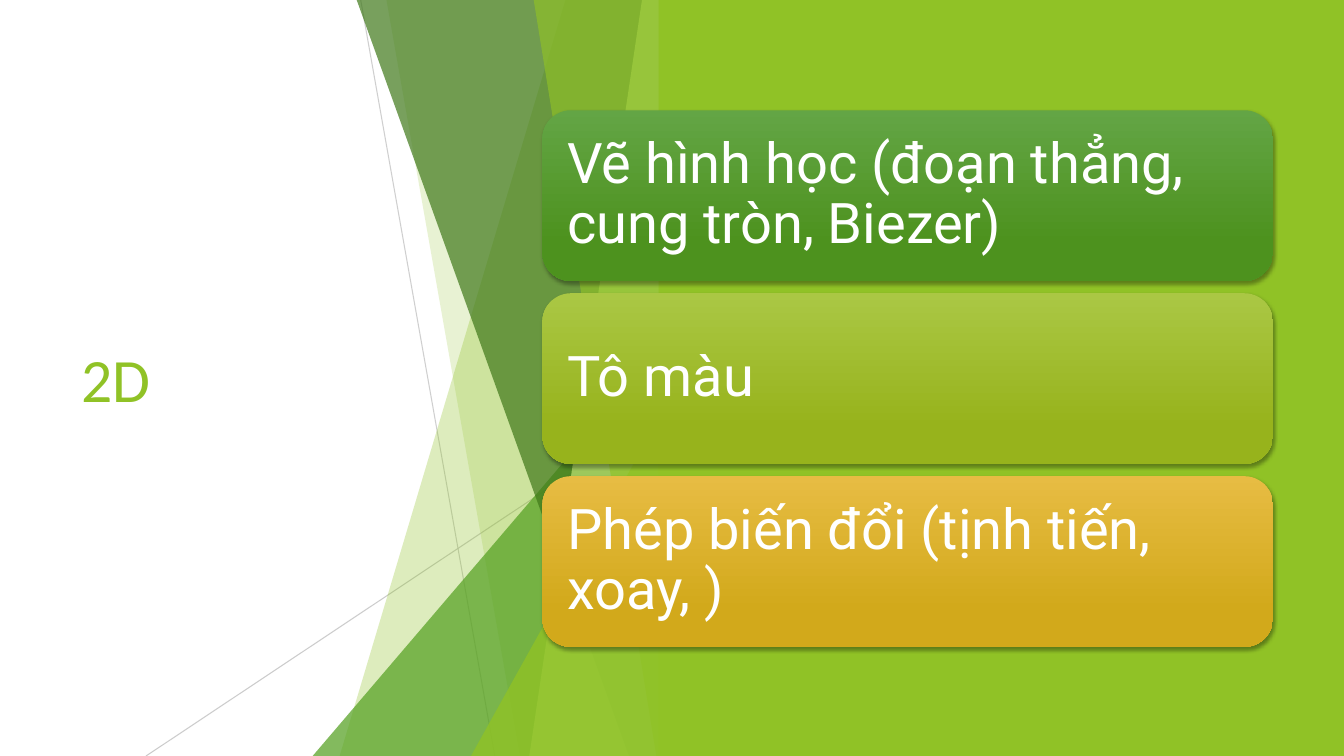
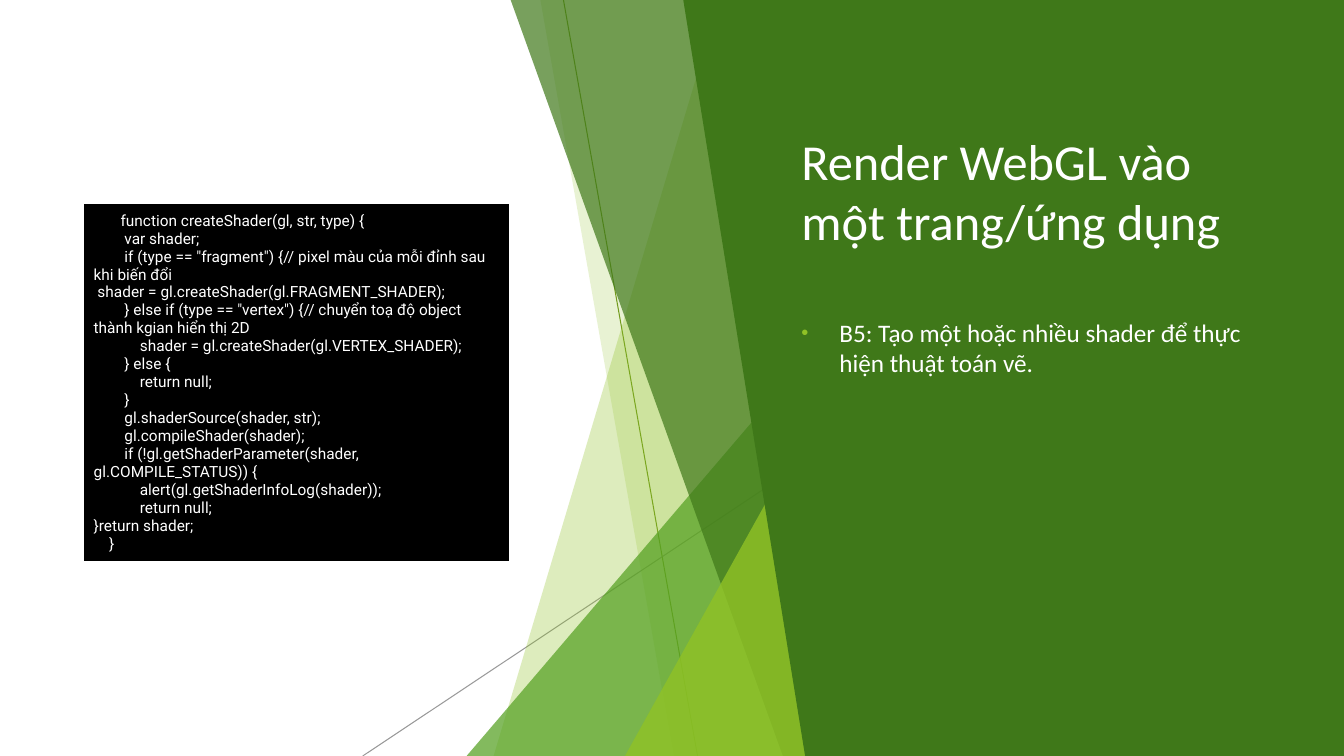
from lxml import etree
from pptx import Presentation
from pptx import util as u
from pptx.dml import color
from pptx.enum import shapes, text
from pptx.oxml import ns, parse_xml

W, H = 33.87, 19.05
LIME, GREEN, DARK, PALE, WHITE, BLACK = "90C226", "54A021", "3F7819", "C0E474", "FFFFFF", "000000"
BODY, CODE = "Calibri", "Roboto"

# kind, top value, bottom value, colour, opacity
BAND, TRIANGLE = "band", "triangle"
FACETS = [
    (BAND, -2.67, -8.36, LIME, 30),
    (BAND, -7.18, -3.82, LIME, 20),
    (TRIANGLE, 9.04, 8.47, GREEN, 72),
    (BAND, -7.93, -1.07, DARK, 70),
]
INNER_FACETS = [(BAND, -0.74, -3.58, PALE, 70), (BAND, -3.47, -0.38, LIME, 65)]
FRONT_FACET = [(TRIANGLE, 5.05, 9.07, LIME, 80)]

TOPICS = [
    ("Vẽ hình học (đoạn thẳng, cung tròn, Biezer)", "63A545", "4D921E"),
    ("Tô màu", "AAC744", "97B31C"),
    ("Phép biến đổi (tịnh tiến, xoay, )", "E7BC43", "D2A91B"),
]
SHADER_CODE = [
    (7, "function createShader(gl, str, type) {"),
    (8, "var shader;"),
    (8, 'if (type == "fragment") {// pixel màu của mỗi đỉnh sau khi biến đổi'),
    (1, "shader = gl.createShader(gl.FRAGMENT_SHADER);"),
    (8, '} else if (type == "vertex") {// chuyển toạ độ object thành kgian hiển thị 2D'),
    (12, "shader = gl.createShader(gl.VERTEX_SHADER);"),
    (8, "} else {"),
    (12, "return null;"),
    (8, "}"),
    (8, "gl.shaderSource(shader, str);"),
    (8, "gl.compileShader(shader);"),
    (8, "if (!gl.getShaderParameter(shader, gl.COMPILE_STATUS)) {"),
    (12, "alert(gl.getShaderInfoLog(shader));"),
    (12, "return null;"),
    (0, "}return shader;"),
    (4, "}"),
]


def rgb(value):
    return color.RGBColor.from_string(value)


def set_alpha(sp, alpha):
    if alpha < 100:
        clr = next(sp._element.spPr.iter(ns.qn("a:srgbClr")))
        etree.SubElement(clr, ns.qn("a:alpha")).set("val", str(alpha * 1000))


def paint(sp, fill, alpha=100):
    sp.shadow.inherit = False
    sp.line.fill.background()
    sp.fill.solid()
    sp.fill.fore_color.rgb = rgb(fill)
    set_alpha(sp, alpha)


def place(sp, x, y, w, h):
    sp.left, sp.top, sp.width, sp.height = (u.Cm(v) for v in (x, y, w, h))


def add_run(p, content, size, fill=WHITE, font=BODY):
    r = p.add_run()
    r.text = content
    r.font.size = u.Pt(size)
    r.font.name = font
    r.font.color.rgb = rgb(fill)


def set_title(s, content, box, size, fill):
    title = s.shapes.title
    place(title, *box)
    tf = title.text_frame
    tf.auto_size = text.MSO_AUTO_SIZE.NONE
    tf.vertical_anchor = text.MSO_ANCHOR.MIDDLE
    p = tf.paragraphs[0]
    p.alignment = text.PP_ALIGN.LEFT
    add_run(p, content, size, fill)


def add_line(s, x1, y1, x2, y2, fill, alpha):
    line = s.shapes.add_connector(shapes.MSO_CONNECTOR.STRAIGHT, *(u.Cm(v) for v in (x1, y1, x2, y2)))
    line.line.color.rgb = rgb(fill)
    line.line.width = u.Pt(0.75)
    set_alpha(line, alpha)
    etree.SubElement(line._element.spPr, ns.qn("a:effectLst"))


def add_band(s, top, bottom, right, fill, alpha=100):
    fb = s.shapes.build_freeform(u.Cm(top), 0)
    fb.add_line_segments([(u.Cm(x), u.Cm(y)) for x, y in ((right, 0), (right, H), (bottom, H))])
    paint(fb.convert_to_shape(), fill, alpha)


def add_facets(s, edge, lines, facets):
    for line in lines:
        add_line(s, *line)
    for kind, a, b, fill, alpha in facets:
        if kind == BAND:
            add_band(s, edge + a, edge + b, edge, fill, alpha)
        else:
            sp = s.shapes.add_shape(shapes.MSO_SHAPE.ISOSCELES_TRIANGLE, 0, 0, 0, 0)
            top = b if b < 9 else H - b
            place(sp, edge - a, top, a, H - top)
            sp.adjustments[0] = 1
            paint(sp, fill, alpha)


def add_card(s, y, content, light, deep):
    sp = s.shapes.add_shape(shapes.MSO_SHAPE.ROUNDED_RECTANGLE, 0, 0, 0, 0)
    place(sp, 13.67, y, 18.41, 4.3)
    paint(sp, light)
    sp.fill.gradient()
    sp.fill.gradient_angle = 270
    for stop, pos, fill in zip(sp.fill.gradient_stops, (0, 0.78), (light, deep)):
        stop.position = pos
        stop.color.rgb = rgb(fill)
    effects = sp._element.spPr.find(ns.qn("a:effectLst"))
    effects.append(parse_xml(
        f'<a:outerShdw {ns.nsdecls("a")} blurRad="38100" dist="25400" dir="5400000" rotWithShape="0">'
        f'<a:srgbClr val="{BLACK}"><a:alpha val="35000"/></a:srgbClr></a:outerShdw>'))
    tf = sp.text_frame
    tf.word_wrap = True
    tf.vertical_anchor = text.MSO_ANCHOR.MIDDLE
    tf.margin_left = tf.margin_right = tf.margin_top = tf.margin_bottom = u.Cm(0.42)
    p = tf.paragraphs[0]
    p.alignment = text.PP_ALIGN.LEFT
    p.line_spacing = 0.9
    add_run(p, content, 40, font=CODE)


def add_bullet(s, content):
    body = s.placeholders[1]
    place(body, 19.94, 7.87, 12.55, 9.22)
    tf = body.text_frame
    tf.auto_size = text.MSO_AUTO_SIZE.NONE
    p = tf.paragraphs[0]
    p.space_before = u.Pt(10)
    add_run(p, content, 18)
    pPr = p._p.get_or_add_pPr()
    pPr.set("marL", str(u.Cm(0.96)))
    pPr.set("indent", str(u.Cm(-0.96)))
    for tag, child in (("buClr", f'<a:srgbClr val="{LIME}"/>'), ("buSzPct", ""), ("buFont", ""), ("buChar", "")):
        attrs = {"buSzPct": 'val="80000"', "buFont": 'typeface="Arial"', "buChar": 'char="•"'}.get(tag, "")
        pPr.append(parse_xml(f'<a:{tag} {ns.nsdecls("a")} {attrs}>{child}</a:{tag}>'))


def add_code(s, rows):
    table = s.shapes.add_table(1, 1, u.Cm(2.11), u.Cm(5.13), u.Cm(10.72), u.Cm(9.02)).table
    table.first_row = table.horz_banding = False
    cell = table.cell(0, 0)
    cell.fill.solid()
    cell.fill.fore_color.rgb = rgb(BLACK)
    cell.vertical_anchor = text.MSO_ANCHOR.MIDDLE
    cell.margin_left = u.Cm(0.25)
    cell.margin_right = cell.margin_top = cell.margin_bottom = u.Cm(0.2)
    tf = cell.text_frame
    for i, (indent, content) in enumerate(rows):
        p = tf.add_paragraph() if i else tf.paragraphs[0]
        pPr = p._p.get_or_add_pPr()
        pPr.set("marL", "0")
        pPr.set("indent", str(u.Cm(0.097 * indent)))
        add_run(p, content, 11, font=CODE)


def build_2d(prs):
    s = prs.slides.add_slide(prs.slide_layouts[5])
    set_title(s, "2D", (1.8, 3.84, 9.86, 11.38), 44, LIME)
    lines = [(9.09, 0, 12.47, H, "BFBFBF", 75), (16.92, 10.24, 3.68, H, "BFBFBF", 80)]
    add_facets(s, 16.92, lines, FACETS + INNER_FACETS + FRONT_FACET)
    panel = s.shapes.add_shape(shapes.MSO_SHAPE.RECTANGLE, 0, 0, 0, 0)
    place(panel, 16.6, 0, W - 16.6, H)
    paint(panel, LIME)
    for i, topic in enumerate(TOPICS):
        add_card(s, 2.78 + 4.61 * i, *topic)


def build_webgl(prs):
    s = prs.slides.add_slide(prs.slide_layouts[1])
    lines = [(14.2, 0, 17.58, H, "6C921D", 100), (22.38, 10.24, 9.14, H, "808080", 80)]
    add_facets(s, 20.8, lines, FACETS + FRONT_FACET)
    add_band(s, 17.22, 20.29, W, DARK)
    set_title(s, "Render WebGL vào một trang/ứng dụng", (19.94, 1.7, 12.55, 6.2), 36, WHITE)
    add_bullet(s, "B5: Tạo một hoặc nhiều shader để thực hiện thuật toán vẽ.")
    for holder in (s.shapes.title, s.placeholders[1]):
        s.shapes._spTree.append(holder._element)
    add_code(s, SHADER_CODE)


def main():
    prs = Presentation()
    prs.slide_width, prs.slide_height = u.Cm(W), u.Cm(H)
    build_2d(prs)
    build_webgl(prs)
    prs.save("out.pptx")


if __name__ == "__main__":
    main()
